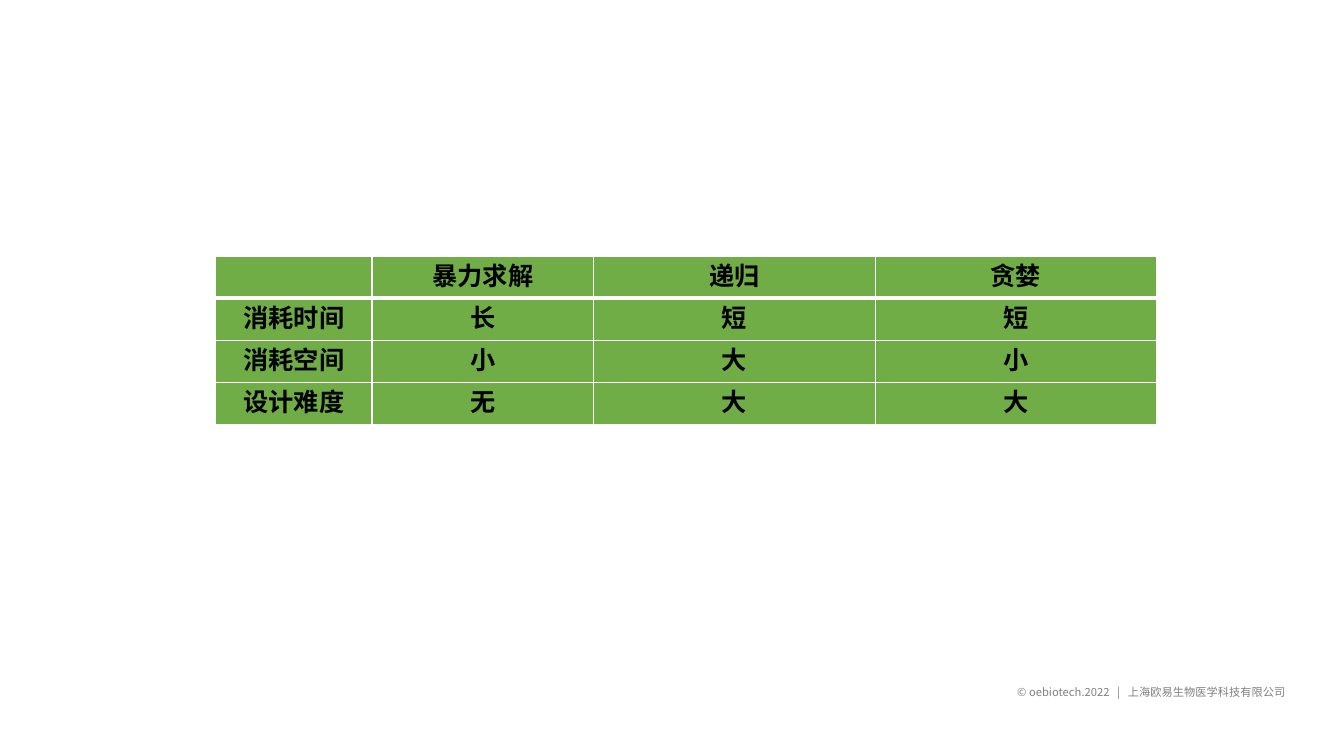
from pptx import Presentation
from pptx.dml.color import RGBColor
from pptx.enum.text import PP_ALIGN
from pptx.oxml.ns import qn
from pptx.util import Inches, Pt
from lxml import etree

LEFT, CENTER = PP_ALIGN.LEFT, PP_ALIGN.CENTER
GREEN, WHITE, BLACK, GRAY = "70AD47", "FFFFFF", "000000", "808080"

COMPARISON = [
    ["", "暴力求解", "递归", "贪婪"],
    ["消耗时间", "长", "短", "短"],
    ["消耗空间", "小", "大", "小"],
    ["设计难度", "无", "大", "大"],
]
COLUMN_WIDTHS = [1.55, 2.2, 2.79, 2.79]
ROW_HEIGHT = 0.417


def color(hex_string):
    return RGBColor.from_string(hex_string)


def write(frame, text, font="Calibri", size=18, fill=BLACK, bold=False, align=LEFT):
    paragraph = frame.paragraphs[0]
    paragraph.alignment = align
    run = paragraph.add_run()
    run.text = text
    run.font.name = font
    run.font.size = Pt(size)
    run.font.bold = bold
    run.font.color.rgb = color(fill)
    # East Asian characters follow the same font
    east_asian = etree.SubElement(run._r.get_or_add_rPr(), qn("a:ea"))
    east_asian.set("typeface", font)


class ComparisonSlide:
    def __init__(self, presentation):
        self.slide = presentation.slides.add_slide(presentation.slide_layouts[6])
        self.cell_style = {"size": 18, "bold": True, "align": CENTER}
        self.thin, self.thick = 1, 3

    def text(self, left, top, width, height, text, **style):
        box = self.slide.shapes.add_textbox(
            Inches(left), Inches(top), Inches(width), Inches(height))
        box.text_frame.word_wrap = True
        write(box.text_frame, text, **style)

    def border(self, cell, side, points):
        line = etree.SubElement(
            cell._tc.get_or_add_tcPr(), qn(f"a:ln{side}"), w=str(Pt(points)))
        solid = etree.SubElement(line, qn("a:solidFill"))
        etree.SubElement(solid, qn("a:srgbClr"), val=WHITE)

    def table(self, left, top, rows, widths, row_height):
        grid = self.slide.shapes.add_table(
            len(rows), len(widths), Inches(left), Inches(top),
            Inches(sum(widths)), Inches(row_height * len(rows))).table
        for column, width in zip(grid.columns, widths):
            column.width = Inches(width)
        for r, labels in enumerate(rows):
            grid.rows[r].height = Inches(row_height)
            for c, label in enumerate(labels):
                cell = grid.cell(r, c)
                # A thick rule separates the header from the body
                for side in "LRTB":
                    under_header = (r, side) in ((0, "B"), (1, "T"))
                    self.border(cell, side, self.thick if under_header else self.thin)
                cell.fill.solid()
                cell.fill.fore_color.rgb = color(GREEN)
                write(cell.text_frame, label, **self.cell_style)


def main():
    presentation = Presentation()
    presentation.slide_width = Inches(13.33)
    presentation.slide_height = Inches(7.5)
    page = ComparisonSlide(presentation)

    # Copyright line
    page.text(9.99, 6.75, 2.99, 0.24,
              "© oebiotech.2022   |   上海欧易生物医学科技有限公司",
              font="Noto Sans CJK SC", size=8, fill=GRAY)

    # Comparison of the three algorithms
    page.table(2.14, 2.54, COMPARISON, COLUMN_WIDTHS, ROW_HEIGHT)

    presentation.save("out.pptx")


if __name__ == "__main__":
    main()
